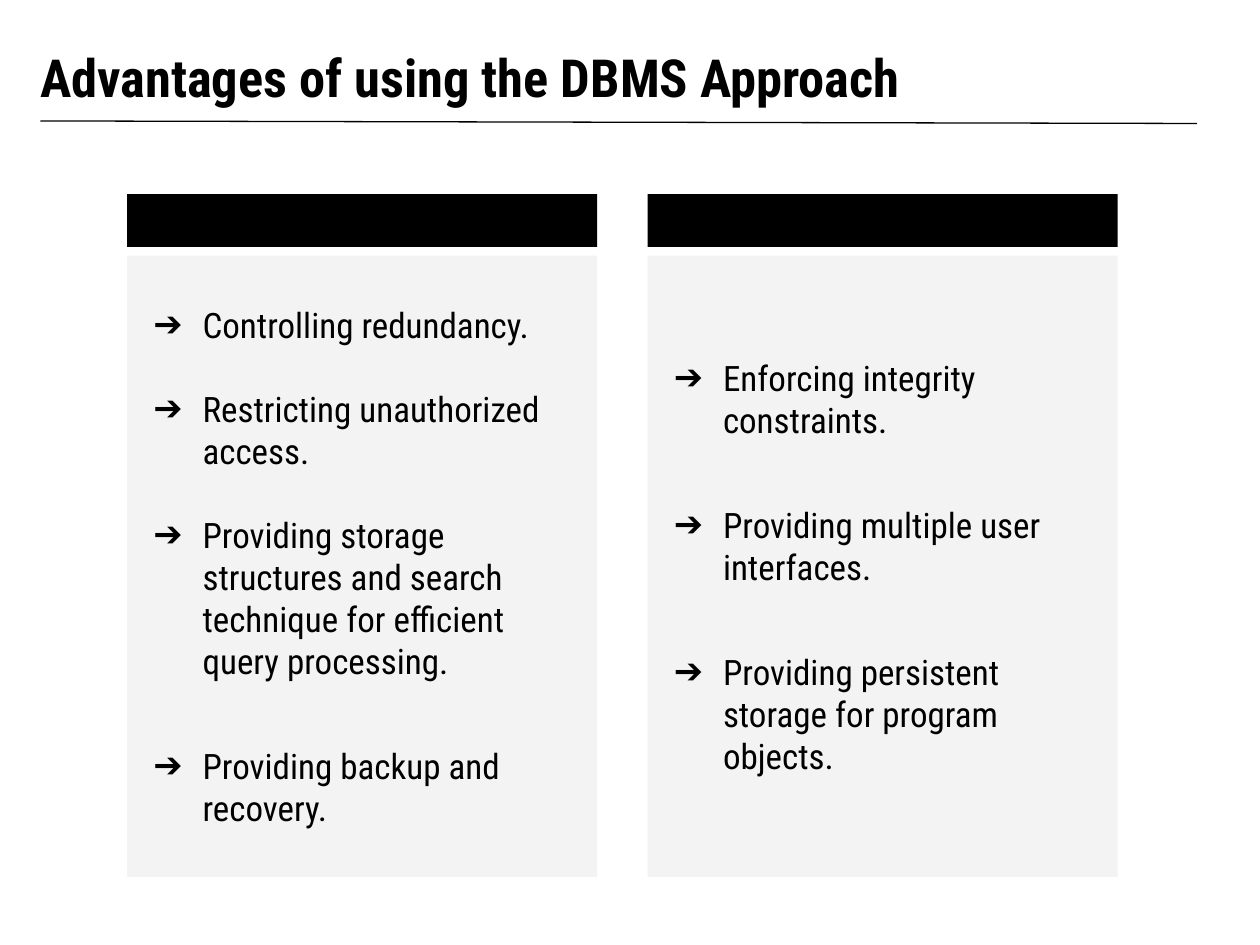
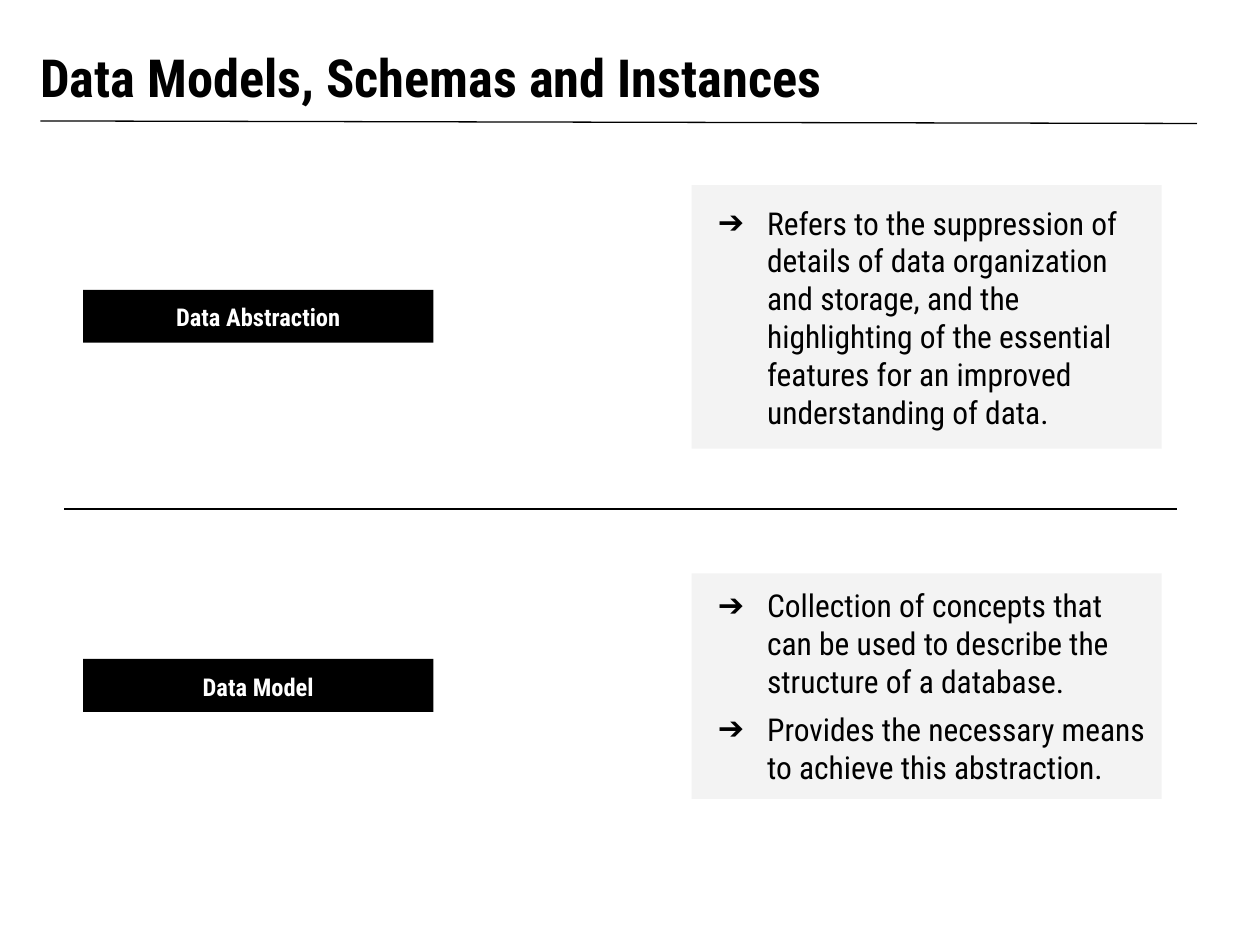
from lxml import etree
from pptx import Presentation
from pptx.dml.color import RGBColor
from pptx.enum.shapes import MSO_CONNECTOR, MSO_SHAPE
from pptx.enum.text import MSO_ANCHOR, PP_ALIGN
from pptx.oxml.ns import qn
from pptx.util import Inches, Pt

RECTANGLE = MSO_SHAPE.RECTANGLE
STRAIGHT = MSO_CONNECTOR.STRAIGHT
TOP, MIDDLE, BOTTOM = MSO_ANCHOR.TOP, MSO_ANCHOR.MIDDLE, MSO_ANCHOR.BOTTOM
LEFT, CENTER = PP_ALIGN.LEFT, PP_ALIGN.CENTER

COLORS = {"ink": "000000", "paper": "FFFFFF", "panel": "F3F3F3"}
FONT = "Roboto Condensed"
COLUMNS, ROWS = 100, 75
SLIDE_WIDTH, SLIDE_HEIGHT = Inches(10), Inches(7.5)
PANEL_WIDTH = 37.3
BAND_HEIGHT = 4.2

ADVANTAGES = [
    [
        ("Controlling redundancy.", 0),
        ("Restricting unauthorized access.", 24),
        ("Providing storage structures and search technique "
         "for efficient query processing.", 24),
        ("Providing backup and recovery.", 36),
    ],
    [
        ("Enforcing integrity constraints.", 0),
        ("Providing multiple user interfaces.", 36),
        ("Providing persistent storage for program objects.", 36),
    ],
]

DEFINITIONS = [
    ("Data Abstraction", 23, 14.7, 20.9, [
        ("Refers to the suppression of details of data organization and storage, "
         "and the highlighting of the essential features for an improved "
         "understanding of data.", 0),
    ]),
    ("Data Model", 52.3, 45.5, 17.9, [
        ("Collection of concepts that can be used to describe the structure "
         "of a database.", 0),
        ("Provides the necessary means to achieve this abstraction.", 6),
    ]),
]


def rgb(name):
    return RGBColor.from_string(COLORS[name])


def x(columns):
    return int(SLIDE_WIDTH * columns / COLUMNS)


def y(rows):
    return int(SLIDE_HEIGHT * rows / ROWS)


def area(left, top, width, height):
    return x(left), y(top), x(width), y(height)


def set_up_frame(frame, anchor):
    frame.word_wrap = True
    frame.vertical_anchor = anchor
    frame.margin_left = frame.margin_right = x(1)
    frame.margin_top = frame.margin_bottom = y(1)


def write(paragraph, text, size, color="ink", bold=False, align=LEFT):
    paragraph.text = text
    paragraph.alignment = align
    for run in paragraph.runs:
        run.font.name = FONT
        run.font.size = Pt(size)
        run.font.bold = bold
        run.font.color.rgb = rgb(color)


def add_arrow_bullet(paragraph):
    properties = paragraph._p.get_or_add_pPr()
    properties.set("marL", str(x(5)))
    properties.set("indent", str(-x(3.9)))
    bullet_color = etree.SubElement(properties, qn("a:buClr"))
    etree.SubElement(bullet_color, qn("a:srgbClr"), val=COLORS["ink"])
    etree.SubElement(properties, qn("a:buFont"), typeface=FONT)
    etree.SubElement(properties, qn("a:buChar"), char="➔")


def add_rule(slide, start, end):
    rule = slide.shapes.add_connector(
        STRAIGHT, x(start[0]), y(start[1]), x(end[0]), y(end[1]))
    rule.line.color.rgb = rgb("ink")
    rule.line.width = Pt(0.75)
    etree.SubElement(rule._element.spPr, qn("a:effectLst"))


def add_block(slide, fill, *bounds):
    block = slide.shapes.add_shape(RECTANGLE, *area(*bounds))
    block.shadow.inherit = False
    block.fill.solid()
    block.fill.fore_color.rgb = rgb(fill)
    block.line.fill.background()
    return block


def add_band(slide, left, top, width, label=""):
    band = add_block(slide, "ink", left, top, width, BAND_HEIGHT)
    if label:
        set_up_frame(band.text_frame, TOP)
        write(band.text_frame.paragraphs[0], label, 14, "paper", True, CENTER)


def add_panel(slide, left, top, height, points, size):
    frame = add_block(slide, "panel", left, top, PANEL_WIDTH, height).text_frame
    set_up_frame(frame, MIDDLE)
    for index, (text, gap) in enumerate(points):
        paragraph = frame.add_paragraph() if index else frame.paragraphs[0]
        add_arrow_bullet(paragraph)
        write(paragraph, text, size)
        paragraph.space_before = Pt(gap)


def add_titled_slide(deck, title):
    slide = deck.slides.add_slide(deck.slide_layouts[6])
    slide.background.fill.solid()
    slide.background.fill.fore_color.rgb = rgb("paper")
    add_rule(slide, (3.2, 9.6), (95, 9.8))
    heading = slide.shapes.add_textbox(*area(2.2, 2.2, 90, 7.4)).text_frame
    set_up_frame(heading, BOTTOM)
    write(heading.paragraphs[0], title, 30, bold=True)
    return slide


def build_advantages(deck):
    slide = add_titled_slide(deck, "Advantages of using the DBMS Approach")
    for index, points in enumerate(ADVANTAGES):
        left = 10.1 + index * (PANEL_WIDTH + 4)
        add_panel(slide, left, 20.3, 49.3, points, 20)
        add_band(slide, left, 15.4, PANEL_WIDTH)


def build_definitions(deck):
    slide = add_titled_slide(deck, "Data Models, Schemas and Instances")
    for term, band_top, panel_top, panel_height, points in DEFINITIONS:
        add_panel(slide, 54.9, panel_top, panel_height, points, 18)
        add_band(slide, 6.6, band_top, 27.8, term)
    add_rule(slide, (5.1, 40.4), (93.4, 40.4))


def main():
    deck = Presentation()
    deck.slide_width, deck.slide_height = SLIDE_WIDTH, SLIDE_HEIGHT
    build_advantages(deck)
    build_definitions(deck)
    deck.save("out.pptx")


if __name__ == "__main__":
    main()
